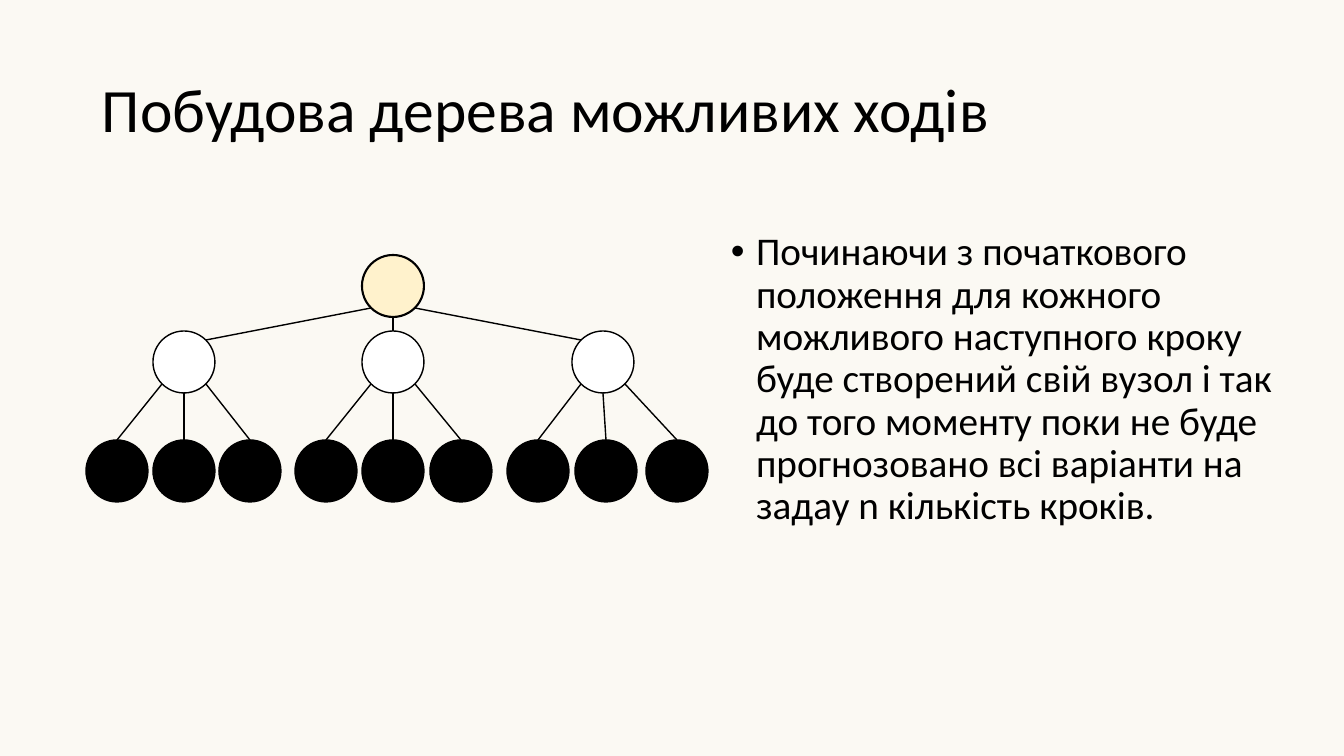
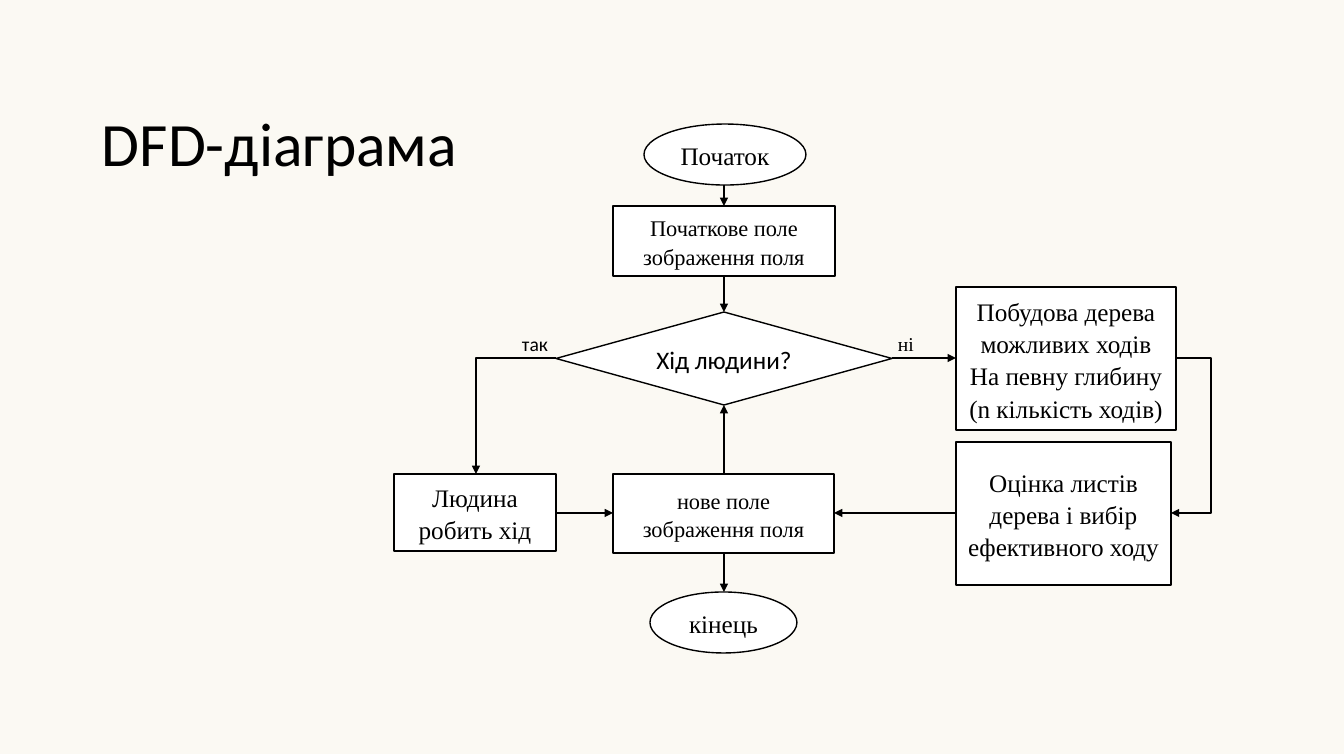
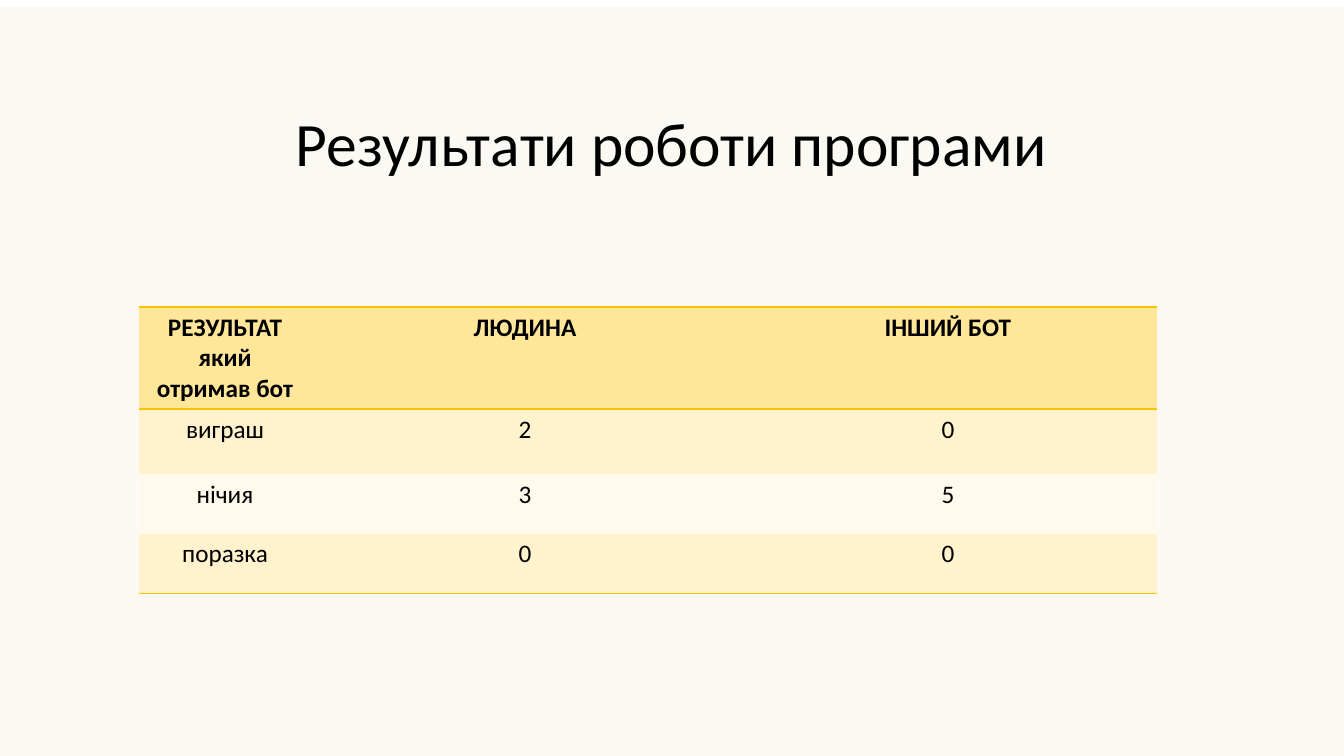
from lxml.etree import SubElement
from pptx import Presentation
from pptx.dml.color import RGBColor
from pptx.enum.shapes import MSO_CONNECTOR as CONNECTOR, MSO_SHAPE as SHAPE
from pptx.enum.text import MSO_ANCHOR as ANCHOR, PP_ALIGN as ALIGN
from pptx.oxml.ns import qn
from pptx.util import Emu, Pt

SCALE = 914400 / 100.8
COLORS = {
    "paper": "FBF9F3", "ink": "000000", "white": "FFFFFF", "cream": "FFF2CC",
    "header": "FFE699", "pale": "FFFAEB", "gold": "FFC000",
}
RGB = {name: RGBColor.from_string(value) for name, value in COLORS.items()}
CALIBRI, TIMES = "Calibri", "Times New Roman"
PLAIN_TABLE = "{2D5ABB26-0587-4C30-8999-92F81FD0307C}"


def px(*lengths):
    return [Emu(round(length * SCALE)) for length in lengths]


def write(frame, text, font, frame_format={}, paragraph_format={}):
    frame.word_wrap = True
    frame.text = text
    for name, value in frame_format.items():
        setattr(frame, name, value)
    for paragraph in frame.paragraphs:
        for name, value in paragraph_format.items():
            setattr(paragraph, name, value)
        for run in paragraph.runs:
            run.font.color.rgb = RGB["ink"]
            for name, value in font.items():
                setattr(run.font, name, value)


presentation = Presentation()
presentation.slide_width, presentation.slide_height = px(1344, 756)

titles = [
    ("Побудова дерева можливих ходів", ALIGN.LEFT, 5, 0, 756),
    ("DFD-діаграма", ALIGN.LEFT, 71, 0, 754),
    ("Результати роботи програми", ALIGN.CENTER, 71, 7, 749),
]
slides = []
for title, alignment, title_inset, paper_top, paper_height in titles:
    slide = presentation.slides.add_slide(presentation.slide_layouts[6])
    paper = slide.shapes.add_shape(SHAPE.RECTANGLE, *px(0, paper_top, 1344, paper_height))
    paper.shadow.inherit = False
    paper.fill.solid()
    paper.fill.fore_color.rgb = RGB["paper"]
    paper.line.fill.background()
    title_box = slide.shapes.add_textbox(*px(92, 40, 1159, 146))
    write(title_box.text_frame, title, {"name": CALIBRI, "size": Pt(44)},
          {"vertical_anchor": ANCHOR.MIDDLE, "margin_top": px(title_inset)[0]},
          {"alignment": alignment, "line_spacing": 0.9})
    slides.append(slide)
tree_slide, flow_slide, result_slide = slides

body = tree_slide.shapes.add_textbox(*px(721, 227, 563, 463))
write(body.text_frame,
      "Починаючи з початкового положення для кожного можливого наступного кроку буде "
      "створений свій вузол і так до того моменту поки не буде прогнозовано всі варіанти "
      "на задау n кількість кроків.",
      {"name": CALIBRI, "size": Pt(28)}, {}, {"line_spacing": 0.9, "space_before": Pt(10)})
properties = body.text_frame.paragraphs[0]._p.get_or_add_pPr()
properties.set("marL", "228600")
properties.set("indent", "-228600")
SubElement(properties, qn("a:buFont")).set("typeface", "Arial")
SubElement(properties, qn("a:buChar")).set("char", "•")

NODE, RADIUS, DIAGONAL = 62, 31, 22
ROOT_X, ROOT_Y, CHILD_Y, LEAF_Y = 393, 286, 362, 471
branches = [(184, (117, 184, 250)), (393, (326, 393, 461)), (603, (538, 606, 677))]
sides = [(-DIAGONAL, DIAGONAL), (0, RADIUS), (DIAGONAL, DIAGONAL)]
nodes = [(ROOT_X, ROOT_Y, "cream", 1.5)]
edges = []
for (child_x, leaves), (root_dx, root_dy) in zip(branches, sides):
    nodes.append((child_x, CHILD_Y, "white", 1))
    edges.append((child_x - root_dx, CHILD_Y - root_dy, ROOT_X + root_dx, ROOT_Y + root_dy))
    for leaf_x, (dx, dy) in zip(leaves, sides):
        nodes.append((leaf_x, LEAF_Y, "ink", 1))
        edges.append((leaf_x, LEAF_Y - RADIUS, child_x + dx, CHILD_Y + dy))

steps = [
    (SHAPE.OVAL, (644, 124, 162, 61), "Початок", TIMES, 18),
    (SHAPE.OVAL, (650, 592, 147, 61), "кінець", TIMES, 18),
    (SHAPE.RECTANGLE, (613, 206, 222, 70), "Початкове поле зображення поля", TIMES, 16),
    (SHAPE.RECTANGLE, (613, 474, 221, 79), "нове поле зображення поля", TIMES, 16),
    (SHAPE.RECTANGLE, (956, 287, 220, 143),
     "Побудова дерева можливих ходів\vНа певну глибину\v(n кількість ходів)", TIMES, 18),
    (SHAPE.RECTANGLE, (956, 442, 215, 143),
     "Оцінка листів дерева і вибір ефективного ходу", TIMES, 18),
    (SHAPE.FLOWCHART_DECISION, (556, 312, 336, 93), "Хід людини?", CALIBRI, 18),
    (SHAPE.RECTANGLE, (394, 474, 162, 77), "Людина робить хід", TIMES, 18),
]
outlined = [
    (tree_slide, SHAPE.OVAL, (x - RADIUS, y - RADIUS, NODE, NODE), fill, width, "", CALIBRI, 18)
    for x, y, fill, width in nodes
] + [(flow_slide, kind, box, "white", 1, *label) for kind, box, *label in steps]
for slide, kind, box, fill, width, text, font_name, size in outlined:
    shape = slide.shapes.add_shape(kind, *px(*box))
    shape.shadow.inherit = False
    shape.fill.solid()
    shape.fill.fore_color.rgb = RGB[fill]
    shape.line.color.rgb = RGB["ink"]
    shape.line.width = Pt(width)
    write(shape.text_frame, text, {"name": font_name, "size": Pt(size)},
          {"vertical_anchor": ANCHOR.MIDDLE},
          {"alignment": ALIGN.CENTER, "line_spacing": 1.07, "space_after": Pt(8)})

arrows = [
    (724, 185, 724, 206), (724, 276, 724, 312), (724, 553, 724, 592), (724, 474, 724, 405),
    (556, 513, 613, 513), (892, 358, 956, 358), (956, 513, 834, 513),
]
links = [(tree_slide, "line", ends) for ends in edges]
links += [(flow_slide, "line", ends) for ends in arrows]
links += [
    (flow_slide, "bentConnector2", (556, 358, 476, 474)),
    (flow_slide, "bentConnector3", (1176, 358, 1171, 513)),
]
for slide, preset, ends in links:
    connector = slide.shapes.add_connector(CONNECTOR.STRAIGHT, *px(*ends))
    connector.line.color.rgb = RGB["ink"]
    connector.line.width = Pt(1)
    outline = connector._element.spPr
    geometry = outline.find(qn("a:prstGeom"))
    geometry.set("prst", preset)
    if preset == "bentConnector3":
        guide = SubElement(geometry.find(qn("a:avLst")), qn("a:gd"))
        guide.set("name", "adj1")
        guide.set("fmla", "val -700000")
    if slide is flow_slide:
        SubElement(outline.find(qn("a:ln")), qn("a:tailEnd")).set("type", "triangle")
    SubElement(outline, qn("a:effectLst"))

for left, text, font_name in [(512, "так", CALIBRI), (888, "ні", TIMES)]:
    label = flow_slide.shapes.add_textbox(*px(left, 325, 74, 48))
    write(label.text_frame, text, {"name": font_name, "size": Pt(14)}, {},
          {"line_spacing": 1.07, "space_after": Pt(8)})

rows = [
    (102, "header", ("РЕЗУЛЬТАТ\nякий отримав бот", "ЛЮДИНА", "ІНШИЙ БОТ"), ("lnT", "lnB")),
    (65, "cream", ("виграш", "2", "0"), ()),
    (60, "pale", ("нічия", "3", "5"), ()),
    (60, "cream", ("поразка", "0", "0"), ("lnB",)),
]
widths = px(172, 428, 418)
table = result_slide.shapes.add_table(len(rows), len(widths), *px(139, 307, 1018, 287)).table
table.first_row = table.horz_banding = False
table._tbl.tblPr.find(qn("a:tableStyleId")).text = PLAIN_TABLE
for column, width in zip(table.columns, widths):
    column.width = width
for row, (height, fill, texts, borders) in zip(table.rows, rows):
    row.height = px(height)[0]
    for cell, text in zip(row.cells, texts):
        write(cell.text_frame, text,
              {"name": CALIBRI, "size": Pt(18), "bold": fill == "header"},
              {}, {"alignment": ALIGN.CENTER})
        for side in borders:
            border = SubElement(cell._tc.get_or_add_tcPr(), qn(f"a:{side}"))
            border.set("w", str(Pt(1)))
            color = SubElement(SubElement(border, qn("a:solidFill")), qn("a:srgbClr"))
            color.set("val", COLORS["gold"])
        cell.fill.solid()
        cell.fill.fore_color.rgb = RGB[fill]

presentation.save("out.pptx")
